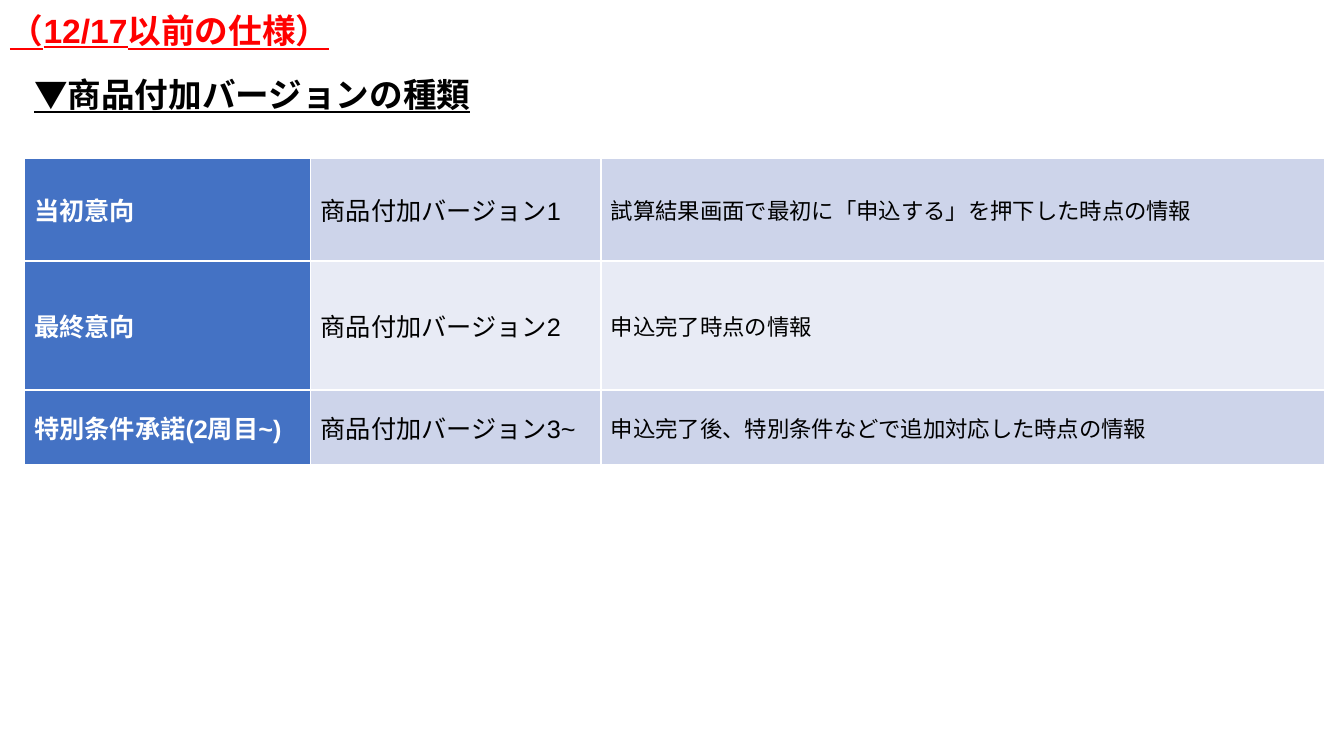
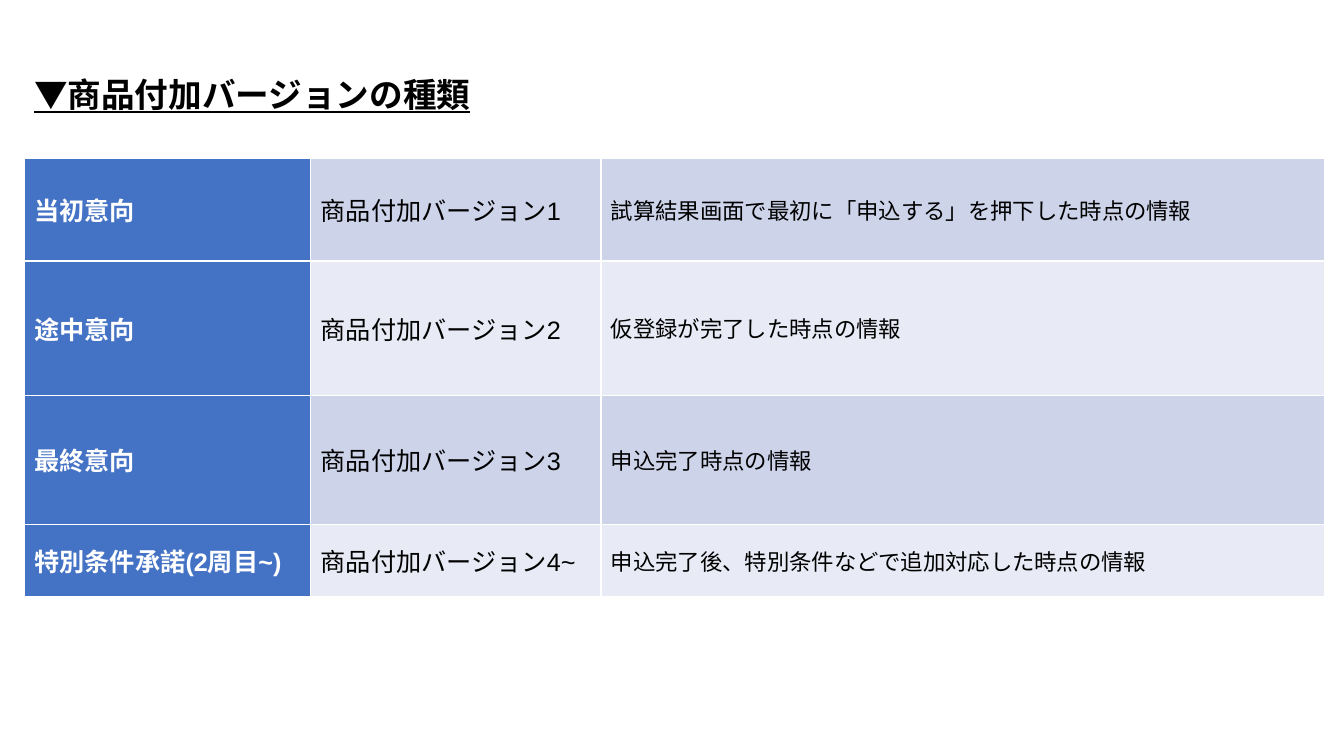
from pptx import Presentation, util as u
from pptx.dml.color import RGBColor
from pptx.enum import text

BLACK, WHITE, RED, BLUE = "000000", "FFFFFF", "FF0000", "4472C4"
BANDS = ("CDD4EA", "E8EBF5")
COLUMNS = ((2.84, 18, WHITE, True), (2.88, 18, BLACK, False), (7.18, 16, BLACK, False))
LEFT = 0.24
FIRST = (1.02, "当初意向", "試算結果画面で最初に「申込する」を押下した時点の情報")
MIDWAY = (1.33, "途中意向", "仮登録が完了した時点の情報")
FINAL = (1.28, "最終意向", "申込完了時点の情報")
SPECIAL = (0.72, "特別条件承諾(2周目~)", "申込完了後、特別条件などで追加対応した時点の情報")


def rgb(value):
    """Turn a hex string into a colour."""
    return RGBColor.from_string(value)


def write(tf, content, size, color, bold, underline=False):
    """Put one styled paragraph into a text frame."""
    tf.text = content
    font = tf.paragraphs[0].runs[0].font
    font.name, font.size = "Arial", u.Pt(size)
    font.bold, font.underline = bold, underline
    font.color.rgb = rgb(color)


def heading(s, box, content, color, margin=0.05):
    """Add an underlined bold heading in the given box."""
    tf = s.shapes.add_textbox(*map(u.Inches, box)).text_frame
    tf.word_wrap = True
    tf.margin_top = tf.margin_bottom = u.Inches(margin)
    write(tf, content, 24, color, True, True)


def version_table(s, left, top, stages):
    """Add the table that gives each stage its version number and timing."""
    width = sum(column[0] for column in COLUMNS)
    height = sum(stage[0] for stage in stages)
    table = s.shapes.add_table(len(stages), len(COLUMNS),
                               *map(u.Inches, (left, top, width, height))).table
    table.first_row = table.horz_banding = False
    for column, (column_width, *_) in zip(table.columns, COLUMNS):
        column.width = u.Inches(column_width)
    for i, (row_height, stage, timing) in enumerate(stages):
        table.rows[i].height = u.Inches(row_height)
        suffix = "~" if i == len(stages) - 1 else ""
        contents = (stage, f"商品付加バージョン{i + 1}{suffix}", timing)
        for j, (content, (_, size, color, bold)) in enumerate(zip(contents, COLUMNS)):
            cell = table.cell(i, j)
            cell.vertical_anchor = text.MSO_ANCHOR.MIDDLE
            cell.fill.solid()
            cell.fill.fore_color.rgb = rgb(BANDS[i % 2] if j else BLUE)
            write(cell.text_frame, content, size, color, bold)


def version_slide(prs, stages):
    """Add a slide with the shared heading and a version table."""
    s = prs.slides.add_slide(prs.slide_layouts[6])
    version_table(s, LEFT, 1.57, stages)
    heading(s, (LEFT, 0.68, 4.82, 0.4), "▼商品付加バージョンの種類", BLACK)
    return s


prs = Presentation()
prs.slide_width, prs.slide_height = u.Inches(13.33), u.Inches(7.5)
earlier = version_slide(prs, (FIRST, FINAL, SPECIAL))
heading(earlier, (0, 0, 5.02, 0.56), "（12/17以前の仕様）", RED, 0.1)
version_slide(prs, (FIRST, MIDWAY, FINAL, SPECIAL))
prs.save("out.pptx")
